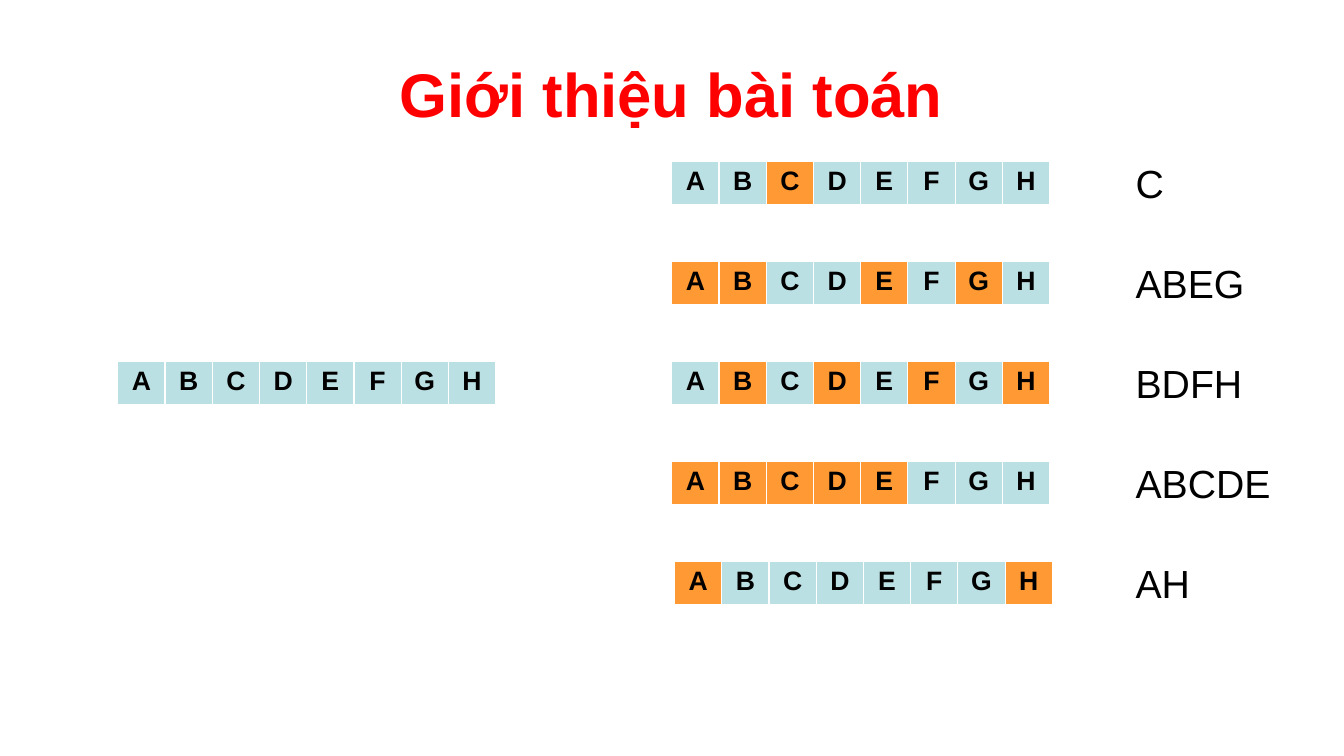
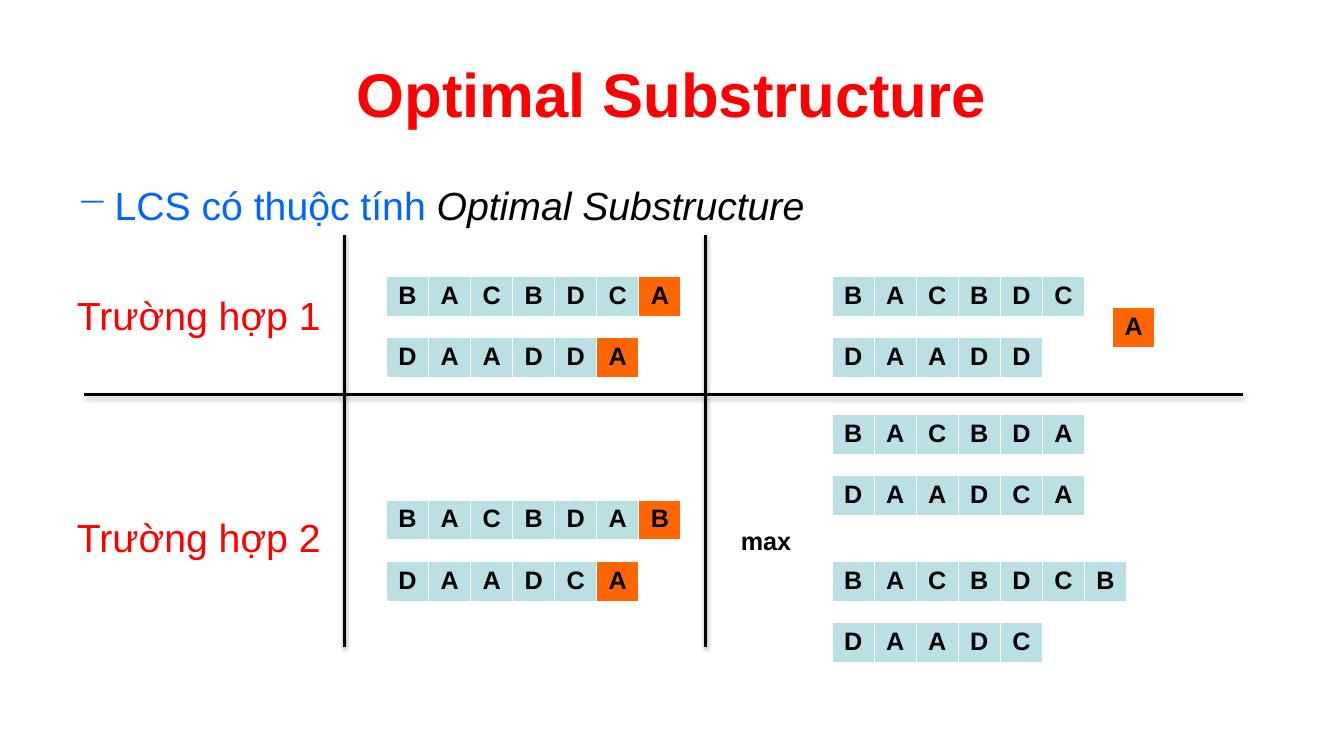
from pptx import Presentation
from pptx.dml.color import RGBColor
from pptx.enum.shapes import MSO_CONNECTOR
from pptx.enum.text import MSO_ANCHOR as Anchor, PP_ALIGN as Align
from pptx.oxml import parse_xml
from pptx.oxml.ns import nsdecls
from pptx.util import Cm, Pt

COLORS = {
    "title": "FF0000",
    "topic": "0066FF",
    "text": "000000",
    "cell": "BBE0E3",
    "chosen": "FF9933",
    "removed": "FF6600",
    "border": "FFFFFF",
}


def color(name):
    return RGBColor.from_string(COLORS[name])


class SlideBuilder:
    font = "Arial"
    margin = 1.69
    content_width = 30.48

    def __init__(self, deck):
        self.deck = deck
        self.page = None

    def new_page(self, title):
        self.page = self.deck.slides.add_slide(self.deck.slide_layouts[6])
        box = self.text(title, self.margin, 0.76, self.content_width, 3.18,
                        size=44, ink="title", bold=True)
        box.text_frame.vertical_anchor = Anchor.MIDDLE
        box.text_frame.paragraphs[0].alignment = Align.CENTER

    def style(self, span, size, ink="text", bold=False, italic=False):
        span.font.name = self.font
        span.font.size = Pt(size)
        span.font.bold = bold
        span.font.italic = italic
        span.font.color.rgb = color(ink)

    def text(self, words, left, top, width, height=1.45, size=28, ink="text", bold=False):
        box = self.page.shapes.add_textbox(Cm(left), Cm(top), Cm(width), Cm(height))
        box.text_frame.word_wrap = True
        box.text_frame.text = words
        self.style(box.text_frame.paragraphs[0].runs[0], size, ink, bold)
        return box

    def bullet(self, words, emphasis, top):
        box = self.text(words, self.margin, top, self.content_width, ink="topic")
        para = box.text_frame.paragraphs[0]
        span = para.add_run()
        span.text = emphasis
        self.style(span, 28, italic=True)
        properties = para._p.get_or_add_pPr()
        indent = Cm(0.95)
        properties.set("marL", str(indent))
        properties.set("indent", str(-indent))
        properties.append(parse_xml(f'<a:buChar {nsdecls("a")} char="─"/>'))

    def letters(self, word, left, top, marked=(), mark="removed",
                width=1.06, height=1.04, size=18):
        table = self.page.shapes.add_table(
            1, len(word), Cm(left), Cm(top), Cm(width * len(word)), Cm(height)).table
        table.first_row = False
        table.horz_banding = False
        for index, letter in enumerate(word):
            table.columns[index].width = Cm(width)
            cell = table.cell(0, index)
            cell.text_frame.text = letter
            para = cell.text_frame.paragraphs[0]
            para.alignment = Align.CENTER
            self.style(para.runs[0], size, bold=True)
            cell.fill.solid()
            cell.fill.fore_color.rgb = color(mark if index in marked else "cell")
            self.borders(cell)

    def borders(self, cell):
        properties = cell._tc.get_or_add_tcPr()
        for position, (side, points) in enumerate((("L", 1), ("R", 1), ("T", 1), ("B", 3))):
            properties.insert(position, parse_xml(
                f'<a:ln{side} {nsdecls("a")} w="{Pt(points)}"><a:solidFill>'
                f'<a:srgbClr val="{COLORS["border"]}"/></a:solidFill></a:ln{side}>'))

    def letter_pair(self, words, left, top, mark_last=False):
        for row, word in enumerate(words):
            marked = [len(word) - 1] if mark_last else []
            self.letters(word, left, top + 1.54 * row, marked)

    def line(self, left, top, right, bottom):
        rule = self.page.shapes.add_connector(
            MSO_CONNECTOR.STRAIGHT, Cm(left), Cm(top), Cm(right), Cm(bottom))
        rule.line.color.rgb = color("text")
        rule.line.width = Pt(2)
        rule._element.spPr.append(parse_xml(
            f'<a:effectLst {nsdecls("a")}><a:outerShdw blurRad="40000" dist="20000" '
            f'dir="5400000" rotWithShape="0"><a:srgbClr val="{COLORS["text"]}">'
            '<a:alpha val="38000"/></a:srgbClr></a:outerShdw></a:effectLst>'))


def problem_page(builder):
    builder.new_page("Giới thiệu bài toán")
    sequence = "ABCDEFGH"
    large = {"width": 1.19, "height": 1.12, "size": 19}
    top, pitch = 4.06, 2.52
    builder.letters(sequence, 2.97, top + 2 * pitch, **large)
    choices = (("C", 16.93), ("ABEG", 16.93), ("BDFH", 16.93), ("ABCDE", 16.93), ("AH", 17))
    for row, (choice, left) in enumerate(choices):
        row_top = top + row * pitch
        marked = [sequence.index(letter) for letter in choice]
        builder.letters(sequence, left, row_top, marked, "chosen", **large)
        builder.text(choice, 28.37, row_top - 0.17, 5)


def substructure_page(builder):
    builder.new_page("Optimal Substructure")
    builder.bullet("LCS có thuộc tính ", "Optimal Substructure", 4.44)
    for words, top in (("Trường hợp 1", 7.22), ("Trường hợp 2", 12.8)):
        builder.text(words, builder.margin, top, 6.8, ink="title")

    for left in (8.68, 17.78):
        builder.line(left, 5.93, left, 16.3)
    builder.line(2.12, 9.95, 31.33, 9.95)

    before, after = 9.74, 20.97
    builder.letter_pair(("BACBDCA", "DAADDA"), before, 6.96, mark_last=True)
    builder.letter_pair(("BACBDC", "DAADD"), after, 6.96)
    builder.letters("A", 28.04, 7.75, [0])
    builder.letter_pair(("BACBDAB", "DAADCA"), before, 12.6, mark_last=True)
    builder.letter_pair(("BACBDA", "DAADCA"), after, 10.44)
    builder.letter_pair(("BACBDCB", "DAADC"), after, 14.14)
    builder.text("max", 18.42, 13.11, 2, 1.02, size=18, bold=True)


def main():
    deck = Presentation()
    deck.slide_width = Cm(33.87)
    deck.slide_height = Cm(19.05)
    builder = SlideBuilder(deck)
    problem_page(builder)
    substructure_page(builder)
    deck.save("out.pptx")


if __name__ == "__main__":
    main()
